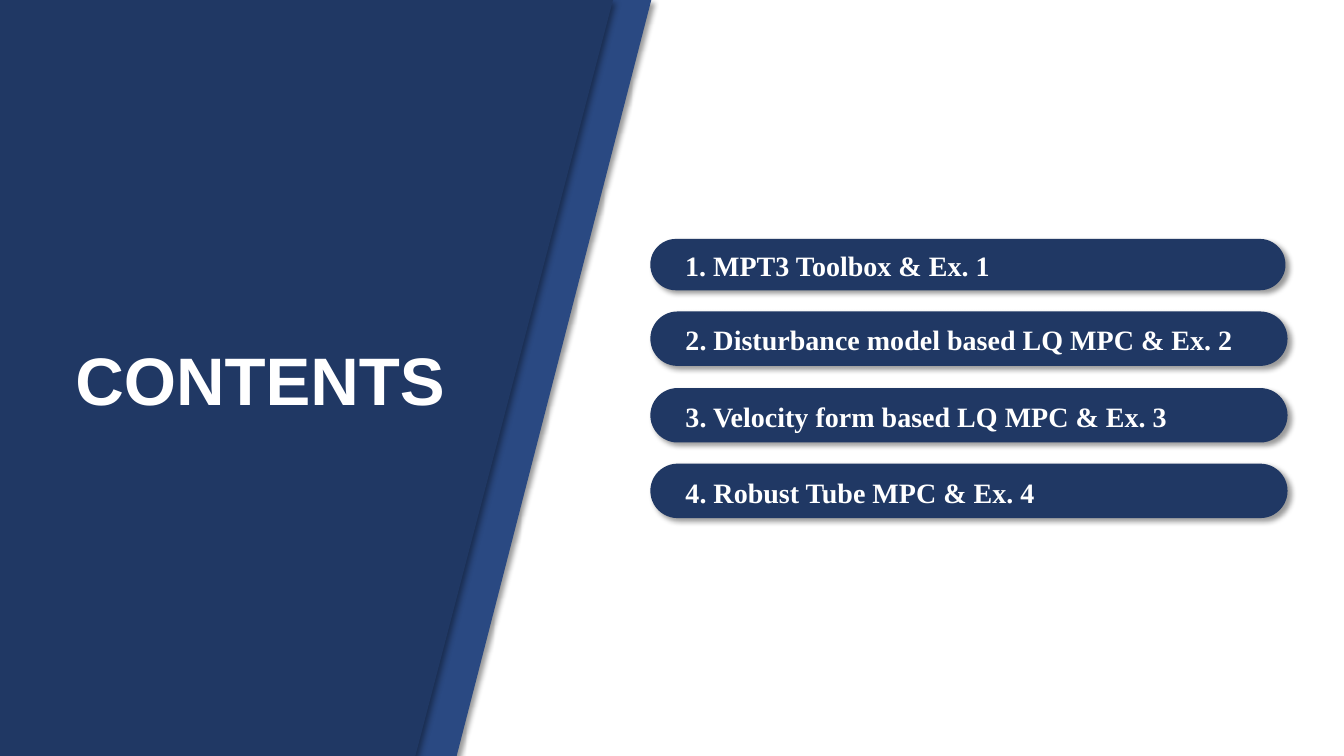
from pptx import Presentation, util as u
from pptx.dml.color import RGBColor
from pptx.enum import shapes as sh, text as tx
from pptx.oxml import parse_xml
from pptx.oxml.ns import nsdecls

PX = 9144  # 100 px to the inch
WIDE, HIGH = 1333, 750
NAVY, BLUE, WHITE = "203864", "2A4982", "FFFFFF"
ITEMS = [
    ("1. MPT3 Toolbox & Ex. 1", 237, 630, 51),
    ("2. Disturbance model based LQ MPC & Ex. 2", 309, 632, 54),
    ("3. Velocity form based LQ MPC & Ex. 3", 385, 632, 54),
    ("4. Robust Tube MPC & Ex. 4", 460, 632, 54),
]


def px(*nums):
    return [n * PX for n in nums]


def color(code):
    return RGBColor.from_string(code)


def paint(shape, fill):
    """Give a shape a plain fill, no line and a soft shadow to the lower right."""
    shape.fill.solid()
    shape.fill.fore_color.rgb = color(fill)
    shape.line.fill.background()
    shape.element.spPr.append(parse_xml(
        f'<a:effectLst {nsdecls("a")}><a:outerShdw blurRad="{u.Pt(4)}" '
        f'dist="{u.Pt(3)}" dir="{45 * 60000}" algn="tl" rotWithShape="0">'
        '<a:srgbClr val="000000"><a:alpha val="40000"/></a:srgbClr>'
        '</a:outerShdw></a:effectLst>'))


def write(shape, words, font, size, align):
    frame = shape.text_frame
    frame.text = words
    frame.word_wrap = True
    frame.auto_size = tx.MSO_AUTO_SIZE.NONE
    frame.vertical_anchor = tx.MSO_ANCHOR.MIDDLE
    para = frame.paragraphs[0]
    para.alignment = align
    face = para.runs[0].font
    face.name, face.size, face.bold = font, u.Pt(size), True
    face.color.rgb = color(WHITE)


def panel(slide, x, y, w, h):
    """Draw the slanted navy panel, its blue edge and the title."""
    slant = 193
    edge = slide.shapes.add_shape(
        sh.MSO_SHAPE.PARALLELOGRAM, *px(x + w - 290, y, 290, h))
    edge.adjustments[0] = slant / 290
    paint(edge, BLUE)

    top = x + w - 38
    path = slide.shapes.build_freeform(x, y, scale=PX)
    path.add_line_segments([(top, y), (top - 196, y + h), (x, y + h)])
    paint(path.convert_to_shape(), NAVY)

    title = slide.shapes.title
    title.left, title.top, title.width, title.height = px(
        x + 24, y + 330, 468, 91)
    write(title, "CONTENTS", "Arial", 48, tx.PP_ALIGN.CENTER)
    slide.shapes.element.append(title.element)  # bring to front


def pill(slide, words, x, y, w, h):
    bar = slide.shapes.add_shape(
        sh.MSO_SHAPE.ROUNDED_RECTANGLE, *px(x, y, w, h))
    bar.adjustments[0] = 0.5
    paint(bar, NAVY)
    write(bar, words, "Times New Roman", 20, tx.PP_ALIGN.LEFT)
    frame = bar.text_frame
    frame.margin_left, frame.margin_right = px(27, 0)
    frame.margin_top, frame.margin_bottom = px(2, 0)


def main():
    deck = Presentation()
    deck.slide_width, deck.slide_height = px(WIDE, HIGH)
    slide = deck.slides.add_slide(deck.slide_layouts.get_by_name("Title Only"))
    panel(slide, 0, 0, 646, HIGH)
    for words, y, w, h in ITEMS:
        pill(slide, words, 645, y, w, h)
    deck.save("out.pptx")


if __name__ == "__main__":
    main()
